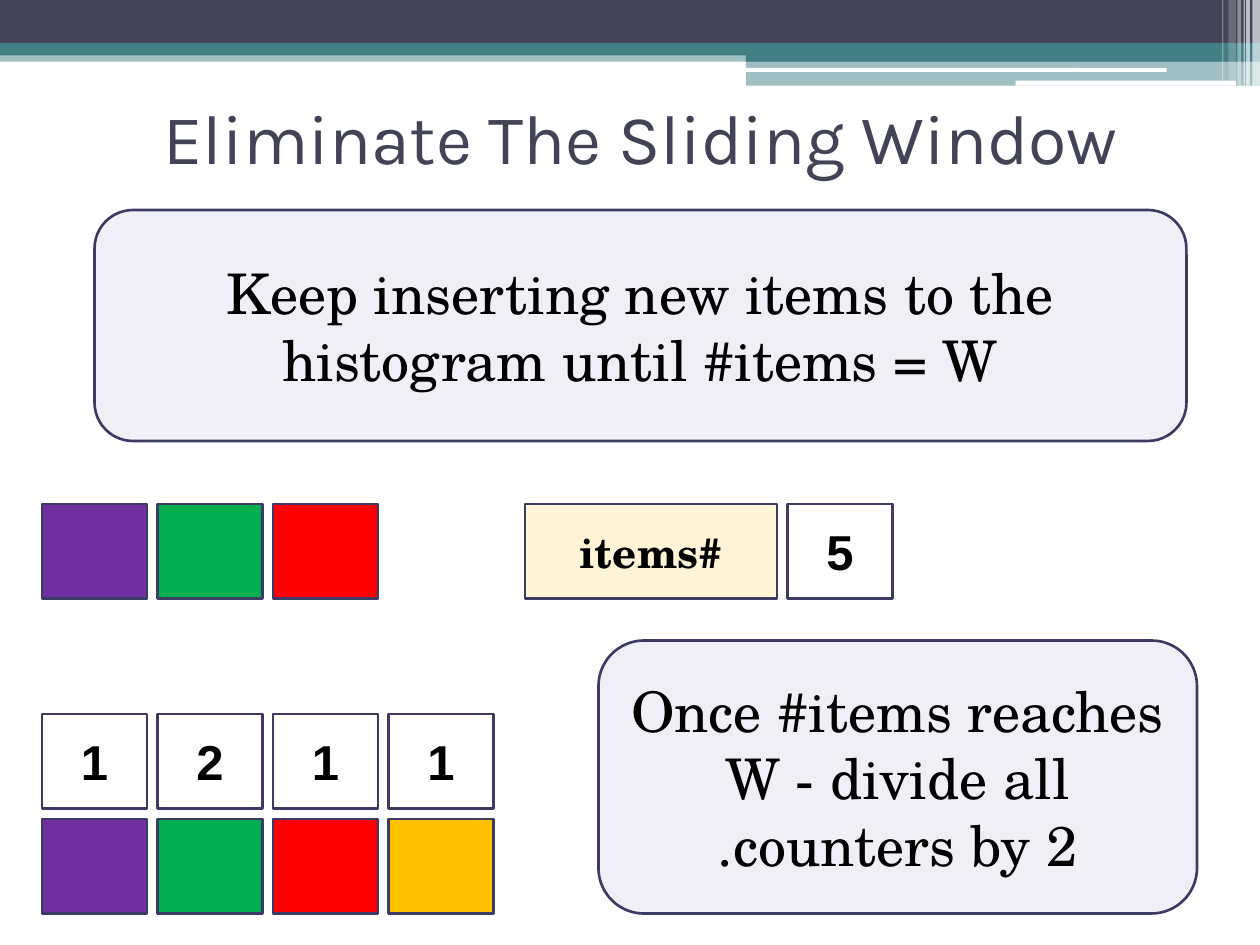
from lxml import etree
from pptx import Presentation
from pptx.dml.color import RGBColor
from pptx.enum.shapes import MSO_SHAPE
from pptx.enum.text import MSO_ANCHOR, PP_ALIGN
from pptx.oxml.ns import qn
from pptx.util import Inches, Pt

RECT, ROUNDED = MSO_SHAPE.RECTANGLE, MSO_SHAPE.ROUNDED_RECTANGLE
CENTER, MIDDLE = PP_ALIGN.CENTER, MSO_ANCHOR.MIDDLE
TITLE_ONLY = 5

# The content sits on a grid of 120 columns by 90 rows.
GRID = Inches(10) // 120
CELL_W, CELL_H, GAP = 10, 9, 1

NAVY, TEAL, WHITE, BLACK = "424456", "438086", "FFFFFF", "000000"
OUTLINE, LAVENDER = "3B3B64", "B7B7D4"
PURPLE, GREEN, RED, AMBER = "7030A0", "00B050", "FF0000", "FFC000"
TITLE_FONT, BODY_FONT, DIGIT_FONT = "Karla", "TeX Gyre Schola", "Arial"


def rgb(color):
    return RGBColor.from_string(color)


def on_grid(*cells):
    return [cell * GRID for cell in cells]


def add_block(slide, kind, box, color, opacity=100, outlined=True):
    """Add a filled shape; box is left, top, width, height in EMU."""
    block = slide.shapes.add_shape(kind, *box)
    block.shadow.inherit = False
    block.fill.solid()
    block.fill.fore_color.rgb = rgb(color)
    if opacity < 100:
        fill_color = block.fill._xPr.find(qn("a:solidFill"))[0]
        etree.SubElement(fill_color, qn("a:alpha"), val=str(opacity * 1000))
    if outlined:
        block.line.color.rgb = rgb(OUTLINE)
        block.line.width = Pt(1.5)
    else:
        block.line.fill.background()
    return block


def write(block, text, size, bold=False):
    """Write centred right-to-left text into a block."""
    frame = block.text_frame
    frame.word_wrap = True
    frame.vertical_anchor = MIDDLE
    paragraph = frame.paragraphs[0]
    paragraph.text = text
    paragraph.alignment = CENTER
    properties = paragraph._p.get_or_add_pPr()
    properties.set("rtl", "1")
    font = paragraph.font
    font.name, font.size, font.bold = BODY_FONT, Pt(size), bold
    font.color.rgb = rgb(BLACK)
    # Digits in right-to-left text take the complex-script font.
    etree.SubElement(properties.find(qn("a:defRPr")), qn("a:cs"),
                     typeface=DIGIT_FONT if text.isdigit() else BODY_FONT)


def add_header(slide):
    bands = [
        (RECT, 0, 0.4, 10, 0.09, TEAL, 50),
        (RECT, 0, 0, 10, 0.34, NAVY, 100),
        (RECT, 0, 0.34, 10, 0.1, TEAL, 100),
        (RECT, 5.92, 0.39, 4.08, 0.1, TEAL, 100),
        (RECT, 5.92, 0.48, 4.08, 0.2, TEAL, 50),
        (ROUNDED, 5.91, 0.54, 3.35, 0.03, WHITE, 100),
        (ROUNDED, 8.06, 0.64, 1.75, 0.04, WHITE, 100),
    ]
    stripes = [(9.94, 0.06, 0.68, 65), (9.89, 0.03, 0.68, 65),
               (9.87, 0.01, 0.68, 60), (9.82, 0.03, 0.68, 40),
               (9.75, 0.06, 0.64, 20), (9.7, 0.01, 0.64, 30)]
    bands += [(RECT, left, 0, width, height, WHITE, opacity)
              for left, width, height, opacity in stripes]
    for kind, *box, color, opacity in bands:
        add_block(slide, kind, [Inches(side) for side in box], color, opacity,
                  outlined=False)


def add_title(slide, text, box):
    title = slide.shapes.title
    title.left, title.top, title.width, title.height = box
    title.text_frame.vertical_anchor = MIDDLE
    paragraph = title.text_frame.paragraphs[0]
    paragraph.text = text
    paragraph.alignment = CENTER
    paragraph.font.name, paragraph.font.size = TITLE_FONT, Pt(40)
    paragraph.font.color.rgb = rgb(NAVY)


def add_note(slide, text, box):
    write(add_block(slide, ROUNDED, box, LAVENDER, 21), text, 32)


def add_cell(slide, column, row, color):
    return add_block(slide, RECT, on_grid(column, row, CELL_W, CELL_H), color)


def add_items(slide, column, row, colors):
    for index, color in enumerate(colors):
        add_cell(slide, column + index * (CELL_W + GAP), row, color)


def add_counter(slide, column, row, count):
    write(add_cell(slide, column, row, WHITE), str(count), 28, bold=True)


def add_histogram(slide, column, row, counts, colors):
    for index, count in enumerate(counts):
        add_counter(slide, column + index * (CELL_W + GAP), row, count)
    add_items(slide, column, row + CELL_H + GAP, colors)


def add_item_total(slide, column, row, total):
    label_width = 24
    label = add_block(slide, RECT, on_grid(column, row, label_width, CELL_H),
                      AMBER, 16)
    write(label, "#items", 24, bold=True)
    add_counter(slide, column + label_width + GAP, row, total)


def main():
    deck = Presentation()
    deck.slide_width, deck.slide_height = Inches(10), Inches(7.5)
    slide = deck.slides.add_slide(deck.slide_layouts[TITLE_ONLY])
    add_header(slide)
    add_title(slide, "Eliminate The Sliding Window", on_grid(7, 6, 108, 14))
    add_note(slide, "Keep inserting new items to the histogram until #items = W",
             on_grid(9, 20, 104, 22))
    add_items(slide, 4, 48, [PURPLE, GREEN, RED])
    add_item_total(slide, 50, 48, 5)
    add_histogram(slide, 4, 68, [1, 2, 1, 1], [PURPLE, GREEN, RED, AMBER])
    add_note(slide, "Once #items reaches W - divide all counters by 2.",
             on_grid(57, 61, 57, 26))
    deck.save("out.pptx")


if __name__ == "__main__":
    main()
